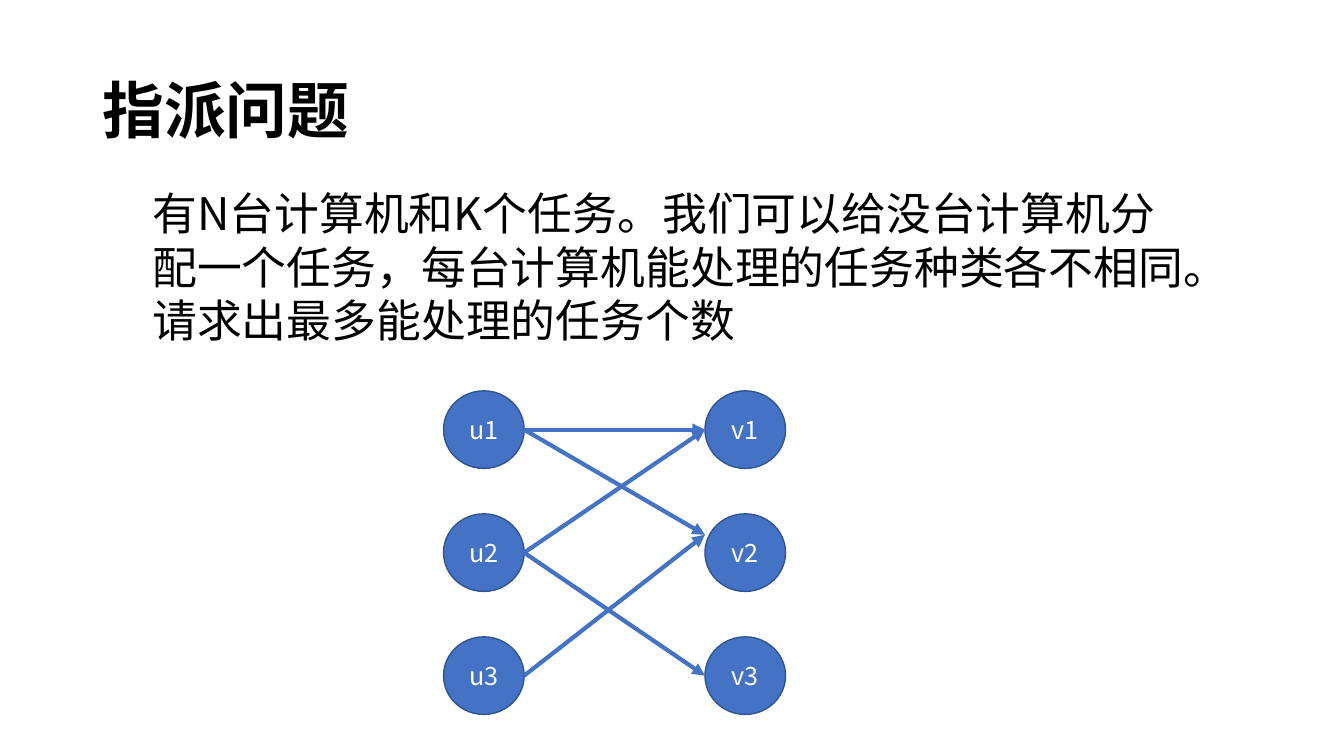
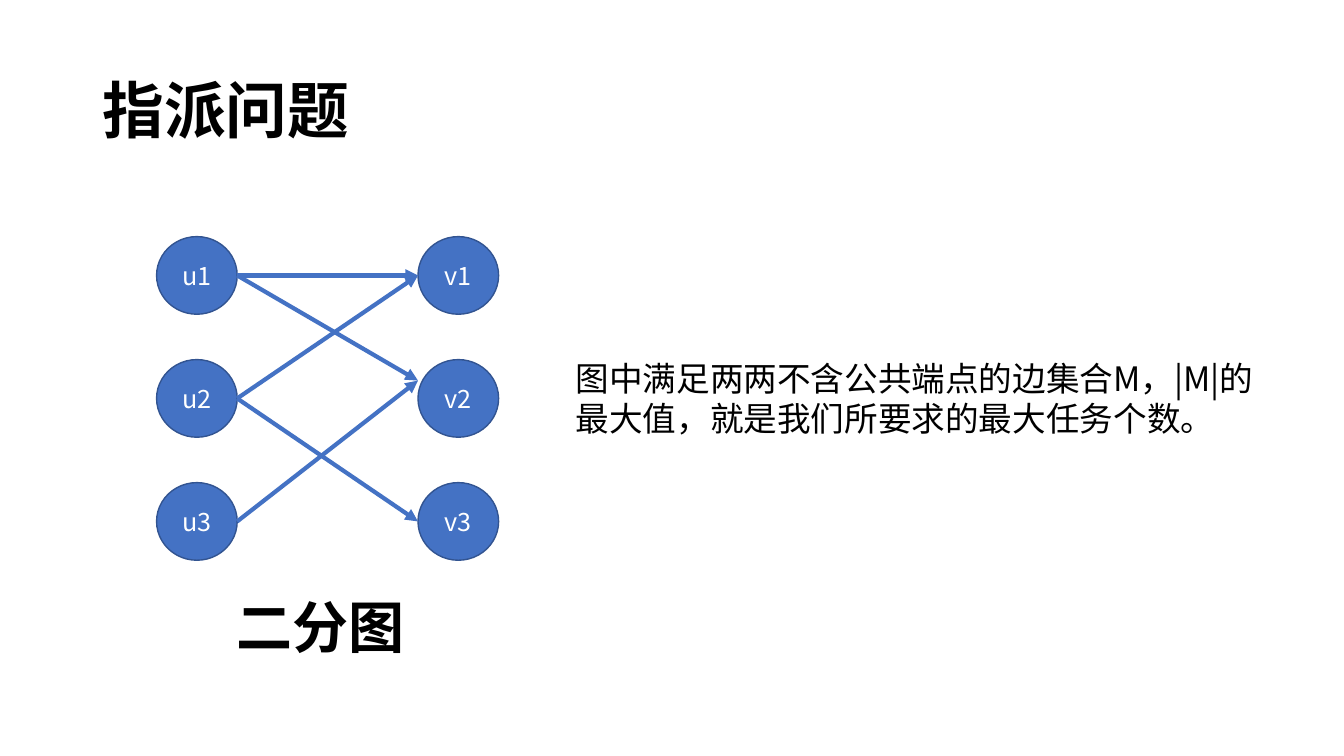
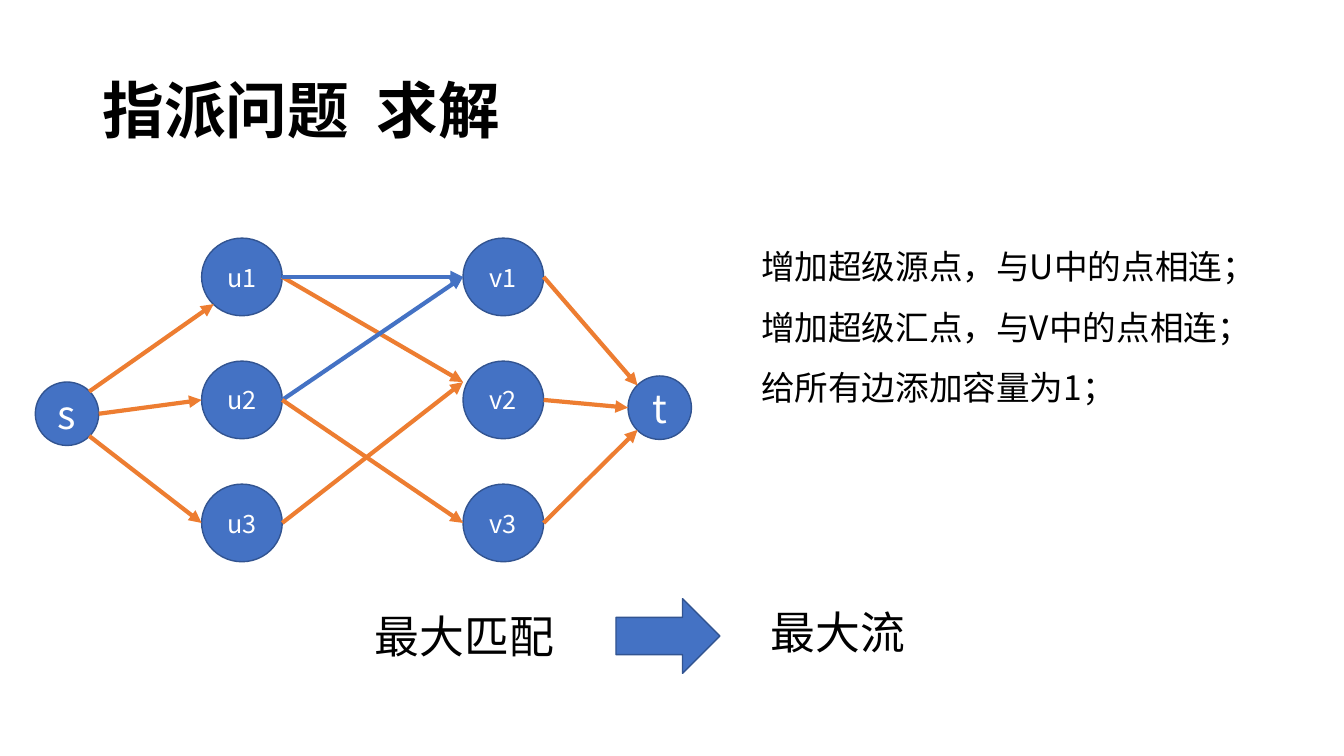
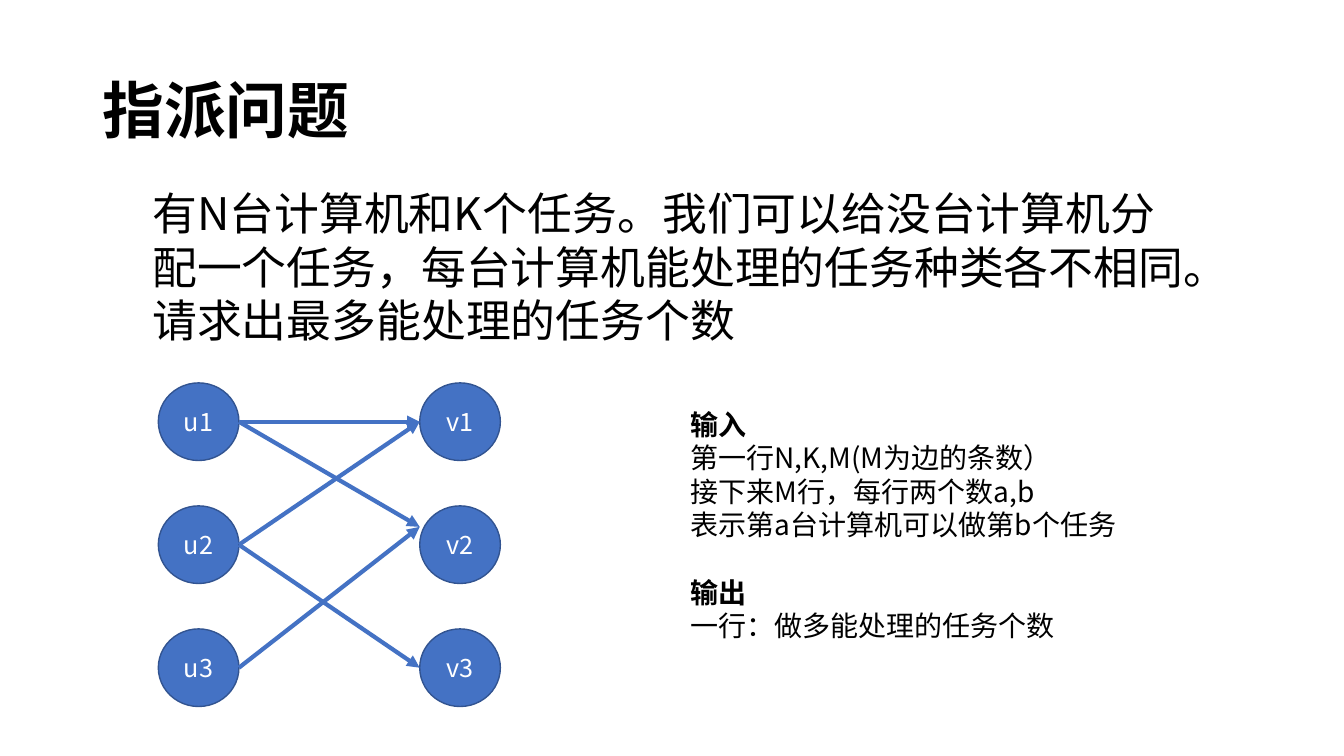
from dataclasses import dataclass

import lxml.etree
import pptx
import pptx.dml.color
import pptx.enum.shapes
import pptx.enum.text
import pptx.oxml.ns
import pptx.presentation
import pptx.shapes.autoshape
import pptx.shapes.base
import pptx.slide
import pptx.util

COLOURS = {
    "text": "000000",
    "node_text": "FFFFFF",
    "node": "4472C4",
    "outline": "325491",
    "flow": "ED7D31",
}
FONT = "Noto Sans CJK SC"
SLIDE_WIDTH = pptx.util.Inches(13.33)
SLIDE_HEIGHT = pptx.util.Inches(7.5)
COLUMN = SLIDE_WIDTH / 100
ROW = SLIDE_HEIGHT / 100
ALIGN = pptx.enum.text.PP_ALIGN
ANCHOR = pptx.enum.text.MSO_ANCHOR
SHAPE = pptx.enum.shapes.MSO_SHAPE


@dataclass(frozen=True)
class Box:
    left: float
    top: float
    width: float
    height: float

    def emu(self) -> tuple[int, int, int, int]:
        return (
            round(self.left * COLUMN),
            round(self.top * ROW),
            round(self.width * COLUMN),
            round(self.height * ROW),
        )

    def point(self, share: tuple[float, float]) -> tuple[int, int]:
        left, top, width, height = self.emu()
        return round(left + share[0] * width), round(top + share[1] * height)


LEFT = (0, 0.5)
RIGHT = (1, 0.5)
UPPER_LEFT = (0.15, 0.15)
LOWER_LEFT = (0.15, 0.85)
UPPER_RIGHT = (0.85, 0.15)
LOWER_RIGHT = (0.85, 0.85)
ABOVE_LEFT = (0, 0.27)


@dataclass(frozen=True)
class Edge:
    start: str
    end: str
    start_share: tuple[float, float] = RIGHT
    end_share: tuple[float, float] = LEFT


MATCHING_EDGES = [
    Edge("u1", "v2", end_share=ABOVE_LEFT),
    Edge("u1", "v1"),
    Edge("u2", "v1"),
    Edge("u2", "v3"),
    Edge("u3", "v2", end_share=ABOVE_LEFT),
]
TERMINAL_EDGES = [
    Edge("s", "u1", UPPER_RIGHT, LOWER_LEFT),
    Edge("s", "u2"),
    Edge("s", "u3", LOWER_RIGHT),
    Edge("v1", "t", end_share=UPPER_LEFT),
    Edge("v2", "t"),
    Edge("v3", "t", end_share=LOWER_LEFT),
]
TERMINALS = {
    "s": Box(2.63, 50.53, 4.72, 8.4),
    "t": Box(46.73, 49.73, 4.72, 8.4),
}
TITLE_BOX = Box(6.88, 5.33, 86.25, 19.33)
STATEMENT_BOX = Box(10.58, 23.87, 79.2, 22.93)
STATEMENT = (
    "有N台计算机和K个任务。我们可以给没台计算机分配一个任务，"
    "每台计算机能处理的任务种类各不相同。请求出最多能处理的任务个数"
)


def rgb(name: str) -> pptx.dml.color.RGBColor:
    return pptx.dml.color.RGBColor.from_string(COLOURS[name])


def write_text(
    shape: pptx.shapes.base.BaseShape,
    lines: list[str],
    *,
    size: float,
    colour: str = "text",
    bold: bool = False,
    headings: tuple[str, ...] = (),
    align: ALIGN = ALIGN.LEFT,
    anchor: ANCHOR = ANCHOR.TOP,
    line_spacing: float = 1.0,
    heading_gap: float = 0,
) -> None:
    frame = shape.text_frame
    frame.word_wrap = True
    frame.auto_size = pptx.enum.text.MSO_AUTO_SIZE.NONE
    frame.vertical_anchor = anchor
    for index, line in enumerate(lines):
        paragraph = frame.add_paragraph() if index else frame.paragraphs[0]
        paragraph.alignment = align
        paragraph.line_spacing = line_spacing
        is_later_heading = index > 0 and line in headings
        paragraph.space_before = pptx.util.Pt(heading_gap if is_later_heading else 0)
        properties = paragraph._p.get_or_add_pPr()
        properties.set("marL", "0")
        properties.set("indent", "0")
        lxml.etree.SubElement(properties, pptx.oxml.ns.qn("a:buNone"))
        run = paragraph.add_run()
        run.text = line
        run.font.size = pptx.util.Pt(size)
        run.font.bold = bold or line in headings
        run.font.color.rgb = rgb(colour)
        run.font.name = FONT
        east_asian = lxml.etree.SubElement(
            run._r.get_or_add_rPr(), pptx.oxml.ns.qn("a:ea")
        )
        east_asian.set("typeface", FONT)


def place(shape: pptx.shapes.base.BaseShape, box: Box) -> None:
    shape.left, shape.top, shape.width, shape.height = box.emu()


def add_slide(
    presentation: pptx.presentation.Presentation,
    title: str,
    body: list[str],
    body_box: Box,
    *,
    body_size: float,
    line_spacing: float = 1.0,
) -> pptx.slide.Slide:
    slide = presentation.slides.add_slide(presentation.slide_layouts[1])
    write_text(
        slide.shapes.title,
        [title],
        size=44,
        bold=True,
        anchor=ANCHOR.MIDDLE,
        line_spacing=0.9,
    )
    body_shape = slide.placeholders[1]
    place(body_shape, body_box)
    write_text(body_shape, body, size=body_size, line_spacing=line_spacing)
    return slide


def add_label(
    slide: pptx.slide.Slide,
    lines: list[str],
    box: Box,
    *,
    size: float,
    bold: bool = False,
    headings: tuple[str, ...] = (),
    heading_gap: float = 0,
) -> None:
    write_text(
        slide.shapes.add_textbox(*box.emu()),
        lines,
        size=size,
        bold=bold,
        headings=headings,
        heading_gap=heading_gap,
    )


def add_filled_shape(
    slide: pptx.slide.Slide, kind: SHAPE, box: Box
) -> pptx.shapes.autoshape.Shape:
    shape = slide.shapes.add_shape(kind, *box.emu())
    shape.shadow.inherit = False
    shape.fill.solid()
    shape.fill.fore_color.rgb = rgb("node")
    shape.line.color.rgb = rgb("outline")
    shape.line.width = pptx.util.Pt(1)
    return shape


def add_node(slide: pptx.slide.Slide, name: str, box: Box, size: float) -> None:
    write_text(
        add_filled_shape(slide, SHAPE.OVAL, box),
        [name],
        size=size,
        colour="node_text",
        align=ALIGN.CENTER,
        anchor=ANCHOR.MIDDLE,
    )


def add_edge(
    slide: pptx.slide.Slide, edge: Edge, nodes: dict[str, Box], colour: str
) -> None:
    connector = slide.shapes.add_connector(
        pptx.enum.shapes.MSO_CONNECTOR.STRAIGHT,
        *nodes[edge.start].point(edge.start_share),
        *nodes[edge.end].point(edge.end_share),
    )
    connector.line.color.rgb = rgb(colour)
    connector.line.width = pptx.util.Pt(3)
    line = connector.line._get_or_add_ln()
    arrowhead = lxml.etree.SubElement(line, pptx.oxml.ns.qn("a:tailEnd"))
    arrowhead.set("type", "triangle")
    lxml.etree.SubElement(
        connector._element.spPr, pptx.oxml.ns.qn("a:effectLst")
    )


def add_matching_graph(
    slide: pptx.slide.Slide,
    left: float,
    top: float,
    flow_edges: tuple[tuple[str, str], ...] = (),
) -> dict[str, Box]:
    nodes = {
        f"{side}{row + 1}": Box(left + 19.45 * column, top + 16.27 * row, 6, 10.27)
        for column, side in enumerate("uv")
        for row in range(3)
    }
    for name, box in nodes.items():
        add_node(slide, name, box, 18)
    for edge in MATCHING_EDGES:
        colour = "flow" if (edge.start, edge.end) in flow_edges else "node"
        add_edge(slide, edge, nodes, colour)
    return nodes


def build_problem(presentation: pptx.presentation.Presentation) -> None:
    slide = add_slide(
        presentation, "指派问题", [STATEMENT], STATEMENT_BOX, body_size=32
    )
    add_matching_graph(slide, 33, 51.7)


def build_bipartite(presentation: pptx.presentation.Presentation) -> None:
    slide = add_slide(
        presentation,
        "指派问题",
        ["图中满足两两不含公共端点的边集合M，|M|的最大值，就是我们所要求的最大任务个数。"],
        Box(42.08, 46.67, 53.63, 12.13),
        body_size=24,
    )
    add_matching_graph(slide, 11.65, 31.3)
    add_label(slide, ["二分图"], Box(16.88, 77.73, 15.08, 10.27), size=40, bold=True)


def build_solution(presentation: pptx.presentation.Presentation) -> None:
    slide = add_slide(
        presentation,
        "指派问题  求解",
        [
            "增加超级源点，与U中的点相连；",
            "增加超级汇点，与V中的点相连；",
            "给所有边添加容量为1；",
        ],
        Box(55.88, 29.2, 41.7, 25.6),
        body_size=24,
        line_spacing=1.5,
    )
    flow_edges = (("u1", "v2"), ("u2", "v3"), ("u3", "v2"))
    nodes = add_matching_graph(slide, 15, 31.5, flow_edges) | TERMINALS
    for name, box in TERMINALS.items():
        add_node(slide, name, box, 28)
    for edge in TERMINAL_EDGES:
        add_edge(slide, edge, nodes, "flow")
    add_label(slide, ["最大匹配"], Box(27.15, 79.87, 16.43, 8.53), size=32)
    add_filled_shape(slide, SHAPE.RIGHT_ARROW, Box(45.83, 79.2, 7.73, 9.87))
    add_label(slide, ["最大流"], Box(56.63, 79.33, 13.88, 8.53), size=32)


def build_format(presentation: pptx.presentation.Presentation) -> None:
    slide = add_slide(
        presentation, "指派问题", [STATEMENT], STATEMENT_BOX, body_size=32
    )
    add_matching_graph(slide, 11.78, 50.65)
    add_label(
        slide,
        [
            "输入",
            "第一行N,K,M(M为边的条数）",
            "接下来M行，每行两个数a,b",
            "表示第a台计算机可以做第b个任务",
            "输出",
            "一行：做多能处理的任务个数",
        ],
        Box(50.63, 53.2, 35.1, 32.8),
        size=20,
        headings=("输入", "输出"),
        heading_gap=24,
    )


def main() -> None:
    presentation = pptx.Presentation()
    presentation.slide_width = SLIDE_WIDTH
    presentation.slide_height = SLIDE_HEIGHT
    place(presentation.slide_layouts[1].placeholders[0], TITLE_BOX)
    build_problem(presentation)
    build_bipartite(presentation)
    build_solution(presentation)
    build_format(presentation)
    presentation.save("out.pptx")


if __name__ == "__main__":
    main()
